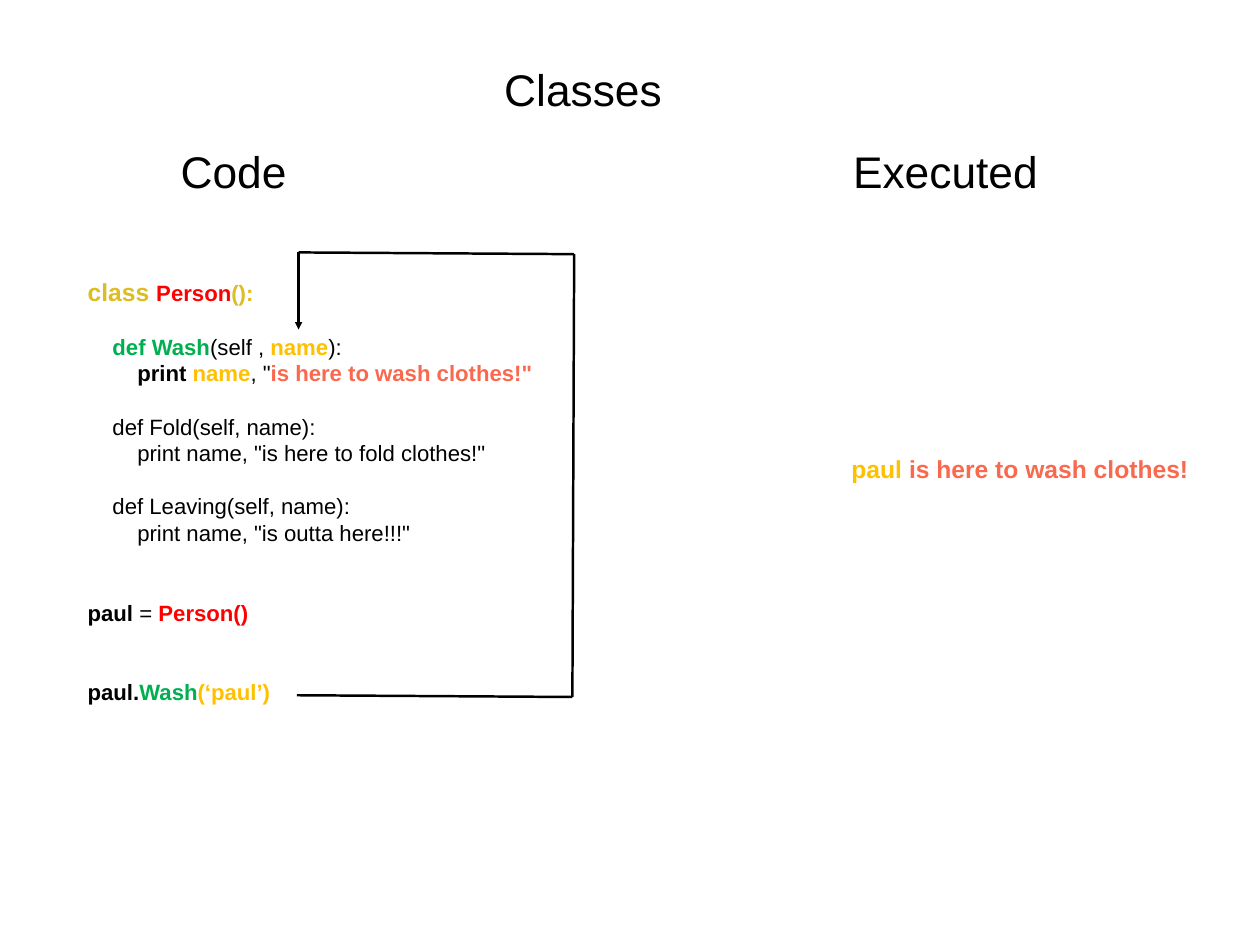
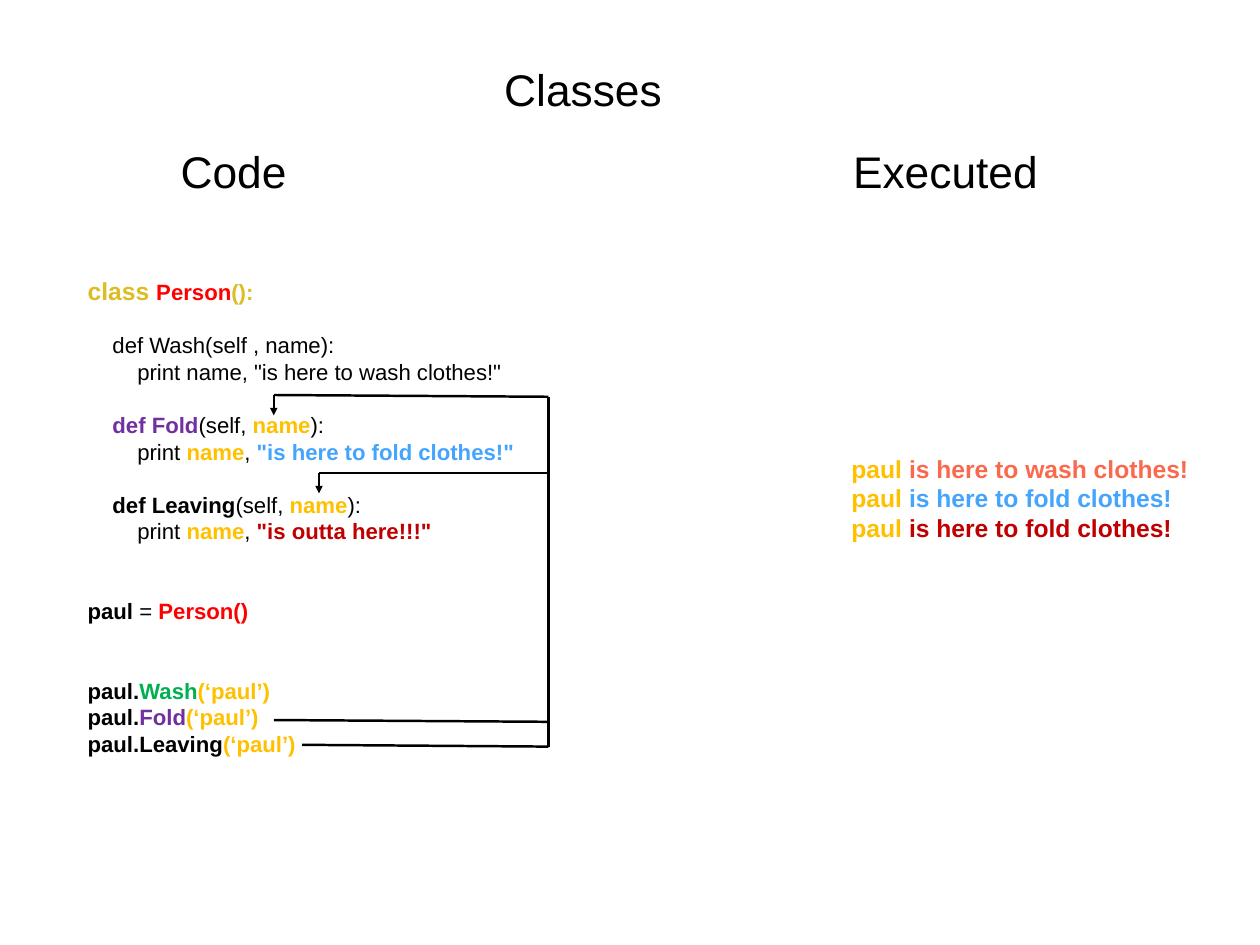
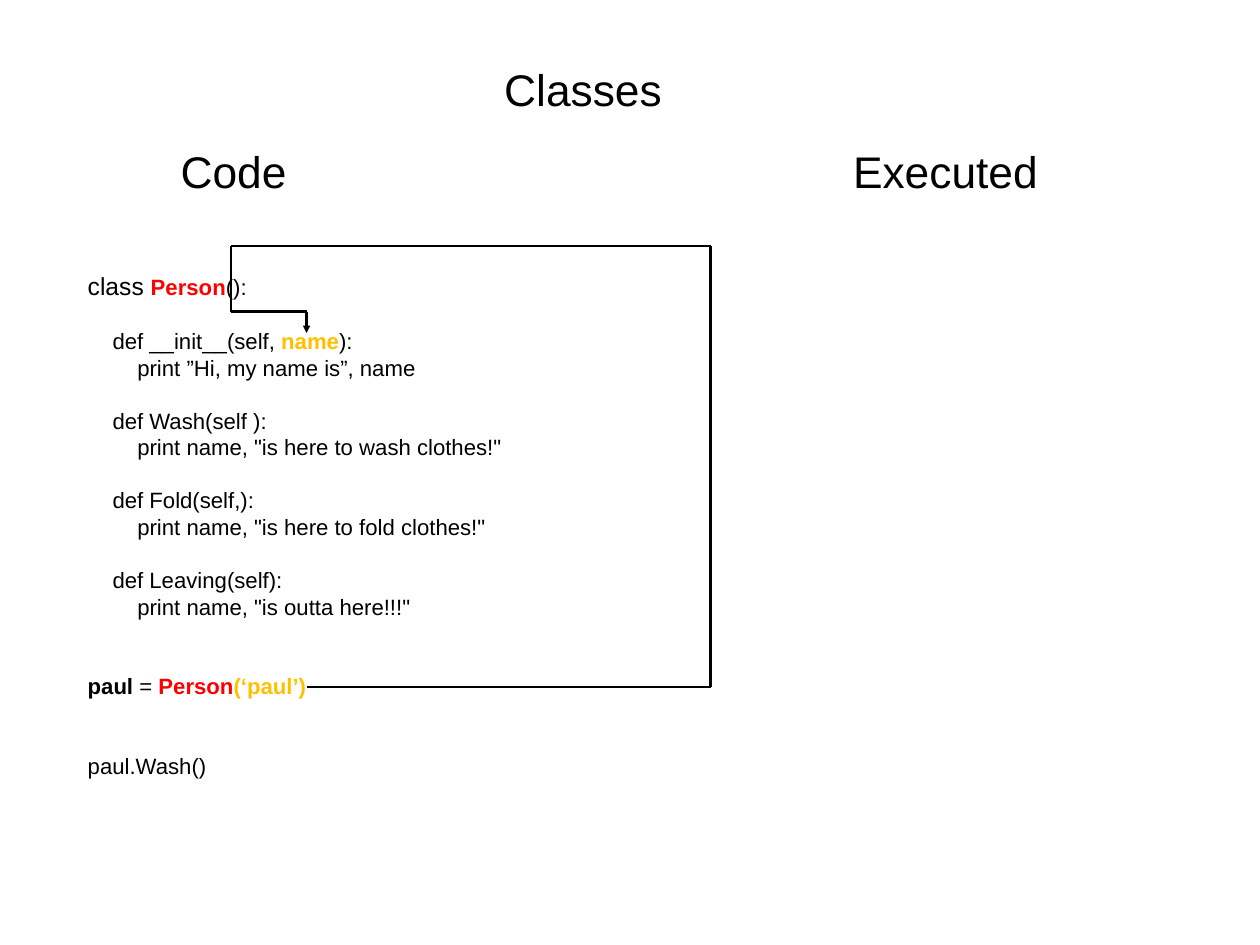
from itertools import pairwise

from pptx import Presentation
from pptx.dml.color import RGBColor as RGB
from pptx.enum.shapes import MSO_CONNECTOR as Conn
from pptx.enum.text import MSO_ANCHOR as Anchor, MSO_AUTO_SIZE as Fit, PP_ALIGN as Align
from pptx.oxml.ns import qn
from pptx.util import Inches, Pt


class Theme:
    size = (14.22, 10.67)
    font = "Arial"
    head, out, code = 36, 20, 18
    pitch = 1.2          # line height as a share of the type size
    step = 0.28          # one code indent
    inset = 0.06
    wire = 2
    ink = "000000"
    # style name: colour, bold
    styles = {
        "plain": (ink, False), "bold": (ink, True), "gold": ("DCBD23", True),
        "red": ("FF0000", True), "green": ("00B050", True),
        "amber": ("FFC000", True), "coral": ("FA694E", True),
        "violet": ("7030A0", True), "blue": ("45A4FC", True),
        "wine": ("C00000", True),
    }


# Content: a line is (indent steps, empty lines above, runs);
# a run is plain text, or (text, style[, size])
TITLE = ("Classes", (5.63, 0.61, 1.9, 0.79))
HEADS = [("Executed", (9.55, 1.53, 2.24, 0.79)), ("Code", (1.96, 1.57, 1.35, 0.71))]

NAME = ("name", "amber")
ARG = ("(‘paul’)", "amber")
PAUL = ("paul ", "amber")
WASH = '"is here to wash clothes!"'
FOLD = '"is here to fold clothes!"'
GONE = '"is outta here!!!"'

OPEN = (0, 0, [("class ", "gold", Theme.out), ("Person", "red"), ("():", "gold")])
MAKE = (0, 2, [("paul", "bold"), " = ", ("Person()", "red")])
CALL = (0, 2, [("paul.", "bold"), ("Wash", "green"), ARG])
SAID = (0, 0, [PAUL, ("is here to wash clothes!", "coral")])


def method(sign, text):
    """Two plain lines: the def and its print."""
    return [(1, 1, [f"def {sign}:"]), (2, 0, [f"print {text}"])]


SLIDES = [
    {
        "box": (0.93, 3.05, 5.17, 4.99),
        "code": [
            OPEN,
            (1, 1, [("def Wash", "green"), "(self , ", NAME, "):"]),
            (2, 0, [("print ", "bold"), NAME, ', "', (WASH[1:], "coral")]),
            *method("Fold(self, name)", f"name, {FOLD}"),
            *method("Leaving(self, name)", f"name, {GONE}"),
            MAKE, CALL,
        ],
        "out": [SAID],
        "arrows": [[(3.35, 7.85), (6.46, 7.87), (6.48, 2.87), (3.37, 2.85), (3.37, 3.72)]],
        "lines": [],
    },
    {
        "box": (0.93, 3.03, 4.96, 5.6),
        "code": [
            OPEN,
            *method("Wash(self , name)", f"name, {WASH}"),
            (1, 1, [("def Fold", "violet"), "(self, ", NAME, "):"]),
            (2, 0, ["print ", NAME, ", ", (FOLD, "blue")]),
            (1, 1, [("def Leaving", "bold"), "(self, ", NAME, "):"]),
            (2, 0, ["print ", NAME, ", ", (GONE, "wine")]),
            MAKE, CALL,
            (0, 0, [("paul.", "bold"), ("Fold", "violet"), ARG]),
            (0, 0, [("paul.Leaving", "bold"), ARG]),
        ],
        "out": [
            SAID,
            (0, 0, [PAUL, ("is here to fold clothes!", "blue")]),
            (0, 0, [PAUL, ("is here to fold clothes!", "wine")]),
        ],
        "arrows": [
            [(3.41, 8.41), (6.19, 8.43), (6.19, 4.48), (3.09, 4.46), (3.09, 4.69)],
            [(6.19, 5.34), (3.6, 5.34), (3.6, 5.57)],
        ],
        "lines": [[(3.09, 8.13), (6.19, 8.15)]],
    },
    {
        "box": (0.93, 2.98, 4.82, 5.9),
        "code": [
            (0, 0, [("class ", "plain", Theme.out), ("Person", "red"), "():"]),
            (1, 1, ["def __init__(self, ", NAME, "):"]),
            (2, 0, ["print ”Hi, my name is”, name"]),
            *method("Wash(self )", f"name, {WASH}"),
            *method("Fold(self,)", f"name, {FOLD}"),
            *method("Leaving(self)", f"name, {GONE}"),
            (0, 2, [("paul ", "bold"), "= ", ("Person", "red"), ARG]),
            (0, 2, ["paul.Wash()"]),
        ],
        "out": [],
        "arrows": [[(3.46, 7.76), (8.02, 7.76), (8.02, 2.78), (2.61, 2.78),
                    (2.61, 3.52), (3.46, 3.52), (3.46, 3.76)]],
        "lines": [],
    },
]


# Text
def add_run(para, run, size):
    text, style, size = ((run, "plain") if isinstance(run, str) else run) + (size,) \
        if isinstance(run, str) or len(run) == 2 else run
    part = para.add_run()
    part.text = text
    color, bold = Theme.styles[style]
    font = part.font
    font.name, font.size, font.bold = Theme.font, Pt(size), bold
    font.color.rgb = RGB.from_string(color)
    return size


def fill(shape, box, lines, size, align=Align.LEFT, wrap=True):
    shape.left, shape.top, shape.width, shape.height = map(Inches, box)
    frame = shape.text_frame
    frame.auto_size, frame.word_wrap = Fit.NONE, wrap
    frame.vertical_anchor = Anchor.MIDDLE
    frame.margin_left = frame.margin_right = Inches(Theme.inset)
    frame.margin_top = frame.margin_bottom = Inches(Theme.inset)
    for i, (depth, gap, runs) in enumerate(lines):
        para = frame.add_paragraph() if i else frame.paragraphs[0]
        para.alignment = align
        tall = max(add_run(para, run, size) for run in runs)
        para.line_spacing = Pt(tall * Theme.pitch)
        para.space_before = Pt(gap * size * Theme.pitch)
        if depth:
            props = para._p.get_or_add_pPr()
            props.set("marL", str(Inches(depth * Theme.step)))
            props.set("indent", "0")


def add_text(slide, box, *args, **opts):
    fill(slide.shapes.add_textbox(0, 0, 0, 0), box, *args, **opts)


def head(text):
    return [(0, 0, [text])], Theme.head, Align.CENTER, False


# Wires
def add_wire(slide, points, arrow):
    for start, end in pairwise(points):
        line = slide.shapes.add_connector(Conn.STRAIGHT, *map(Inches, start + end))
        line.line.width = Pt(Theme.wire)
        line.line.color.rgb = RGB.from_string(Theme.ink)
        props = line._element.spPr
        props.append(props.makeelement(qn("a:effectLst"), {}))
    if arrow:
        edge = line.line._get_or_add_ln()
        edge.append(edge.makeelement(qn("a:tailEnd"), {"type": "triangle"}))


def build(deck, data):
    slide = deck.slides.add_slide(deck.slide_layouts[5])
    text, box = TITLE
    fill(slide.shapes.title, box, *head(text))
    for text, box in HEADS:
        add_text(slide, box, *head(text))
    add_text(slide, data["box"], data["code"], Theme.code)
    if data["out"]:
        rows = len(data["out"])
        tall = rows * Theme.out * Theme.pitch / 72 + 2 * Theme.inset
        add_text(slide, (9.55, 5.06, 4, tall), data["out"], Theme.out)
    for kind in ("arrows", "lines"):
        for points in data[kind]:
            add_wire(slide, points, kind == "arrows")


def main():
    deck = Presentation()
    deck.slide_width, deck.slide_height = map(Inches, Theme.size)
    for data in SLIDES:
        build(deck, data)
    deck.save("out.pptx")


if __name__ == "__main__":
    main()
